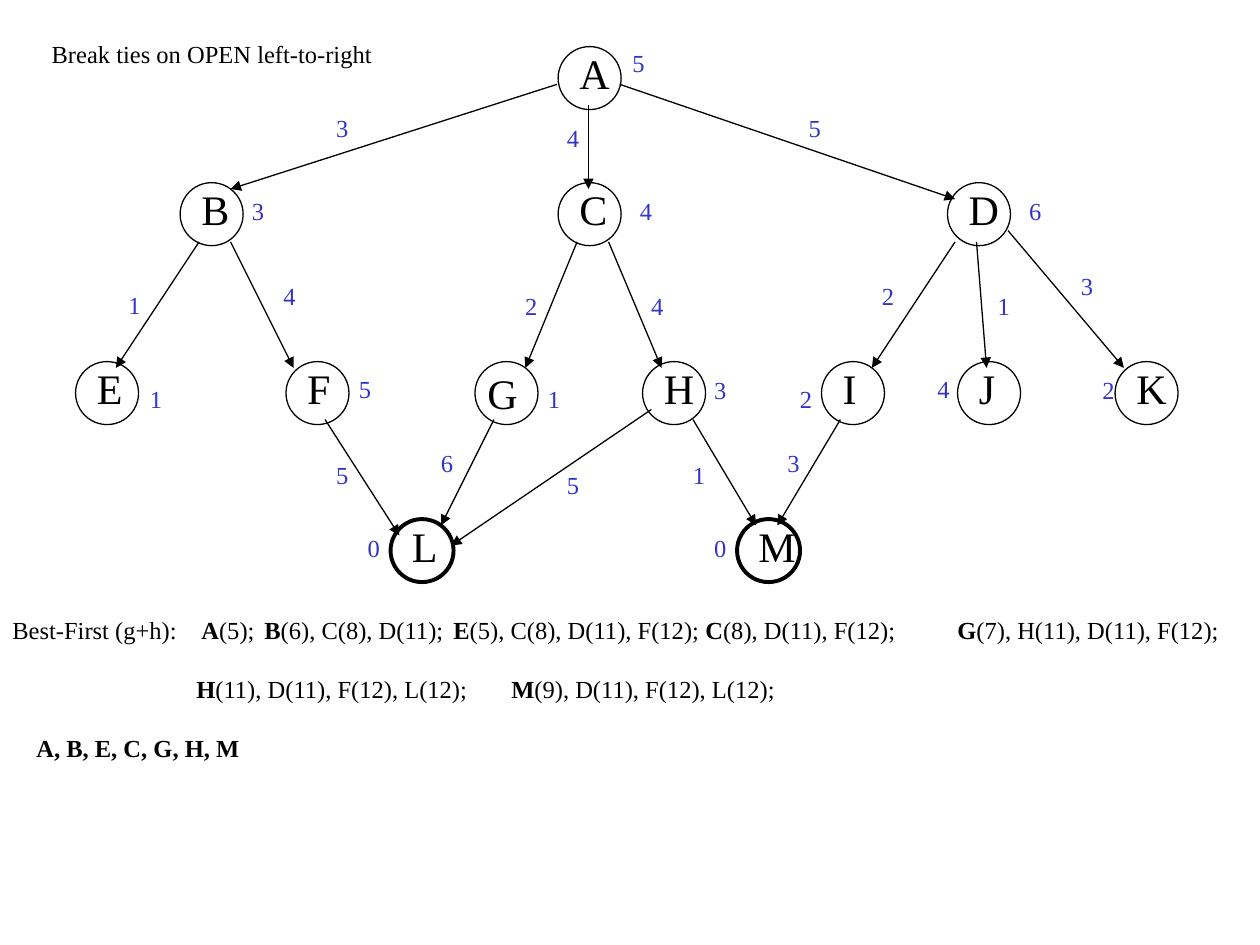
from dataclasses import dataclass

import pptx
import pptx.dml.color
import pptx.enum.shapes
import pptx.enum.text
import pptx.oxml.ns
import pptx.util
from lxml import etree
from pptx.util import Inches

Point = tuple[float, float]


@dataclass(frozen=True)
class Theme:
    font: str = "Times New Roman"
    ink: str = "000000"
    value: str = "3333CC"
    node_size: int = 24
    text_size: int = 14
    line: float = 0.75
    goal_line: float = 2.25
    line_gap: int = 17


@dataclass(frozen=True)
class Node:
    name: str
    at: Point
    h: int
    h_at: Point
    goal: bool = False
    shift: Point = (0.07, -0.04)


@dataclass(frozen=True)
class Edge:
    start: Point
    end: Point
    cost: int
    cost_at: Point


@dataclass(frozen=True)
class TraceLine:
    steps: list[tuple[str, str]]
    lead: str = ""
    indent: float = 0
    tabs: tuple[float, ...] = ()


THEME = Theme()
DIAMETER = 0.5
ROW_1, ROW_2, ROW_3, ROW_4 = 0.37, 1.45, 2.87, 4.12

NODES = [
    Node("A", (4.43, ROW_1), 5, (4.92, 0.33)),
    Node("B", (1.43, ROW_2), 3, (1.9, 1.51)),
    Node("C", (4.43, ROW_2), 4, (4.98, 1.51)),
    Node("D", (7.52, ROW_2), 6, (8.07, 1.51)),
    Node("E", (0.6, ROW_3), 1, (1.09, 3)),
    Node("F", (2.27, ROW_3), 5, (2.75, 2.92)),
    Node("G", (3.77, ROW_3), 1, (4.25, 3), shift=(0, 0)),
    Node("H", (5.1, ROW_3), 3, (5.57, 2.93)),
    Node("I", (6.52, ROW_3), 2, (6.25, 3)),
    Node("J", (7.6, ROW_3), 4, (7.34, 2.92)),
    Node("K", (8.85, ROW_3), 2, (8.65, 2.93)),
    Node("L", (3.1, ROW_4), 0, (2.82, 4.18), goal=True),
    Node("M", (5.85, ROW_4), 0, (5.57, 4.18), goal=True),
]

EDGES = [
    Edge((4.42, 0.67), (1.83, 1.5), 3, (2.57, 0.85)),
    Edge((4.67, 0.83), (4.67, 1.5), 4, (4.4, 0.93)),
    Edge((4.92, 0.67), (7.58, 1.58), 5, (6.32, 0.85)),
    Edge((1.58, 1.92), (0.92, 2.92), 1, (0.92, 2.25)),
    Edge((1.83, 1.92), (2.33, 2.92), 4, (2.15, 2.18)),
    Edge((4.58, 1.92), (4.17, 2.92), 2, (4.07, 2.26)),
    Edge((4.83, 1.92), (5.25, 2.92), 4, (5.07, 2.26)),
    Edge((7.58, 1.92), (6.92, 2.92), 2, (6.9, 2.18)),
    Edge((7.75, 1.92), (7.83, 2.92), 1, (7.82, 2.26)),
    Edge((8, 1.83), (8.92, 2.92), 3, (8.48, 2.1)),
    Edge((2.58, 3.33), (3.17, 4.25), 5, (2.57, 3.6)),
    Edge((3.92, 3.33), (3.5, 4.17), 6, (3.4, 3.51)),
    Edge((5.5, 3.33), (6, 4.17), 1, (5.4, 3.6)),
    Edge((6.67, 3.33), (6.17, 4.17), 3, (6.15, 3.51)),
    Edge((5.17, 3.25), (3.58, 4.33), 5, (4.4, 3.68)),
]

TRACE = [
    TraceLine(
        [
            ("A", "(5);"),
            ("B", "(6), C(8), D(11);"),
            ("E", "(5), C(8), D(11), F(12);"),
            ("C", "(8), D(11), F(12);"),
            ("G", "(7), H(11), D(11), F(12);"),
        ],
        lead="Best-First (g+h):\t",
        tabs=(1.46, 2.02, 3.59, 5.69, 7.34),
    ),
    TraceLine(
        [("H", "(11), D(11), F(12), L(12);"), ("M", "(9), D(11), F(12), L(12);")],
        indent=1.46,
        tabs=(3.81,),
    ),
    TraceLine([("A, B, E, C, G, H, M", "")], indent=0.19),
]


def rgb(value: str) -> pptx.dml.color.RGBColor:
    return pptx.dml.color.RGBColor.from_string(value)


def add_run(p, text: str, *, size: float = THEME.text_size,
            color: str = THEME.ink, bold: bool = False) -> None:
    r = p.add_run()
    r.text = text
    r.font.name = THEME.font
    r.font.size = pptx.util.Pt(size)
    r.font.bold = bold
    r.font.color.rgb = rgb(color)


def add_box(s, at: Point, width: float, height: float):
    tf = s.shapes.add_textbox(*map(Inches, (*at, width, height))).text_frame
    tf.word_wrap = True
    return tf


def draw_circle(s, node: Node) -> None:
    sp = s.shapes.add_shape(
        pptx.enum.shapes.MSO_SHAPE.OVAL,
        *map(Inches, (*node.at, DIAMETER, DIAMETER)),
    )
    sp.shadow.inherit = False
    sp.fill.background()
    sp.line.color.rgb = rgb(THEME.ink)
    sp.line.width = pptx.util.Pt(THEME.goal_line if node.goal else THEME.line)


def draw_name(s, node: Node) -> None:
    at = (node.at[0] + node.shift[0], node.at[1] + node.shift[1])
    tf = add_box(s, at, 0.5, 0.5)
    add_run(tf.paragraphs[0], node.name, size=THEME.node_size)


def draw_value(s, value: int, at: Point) -> None:
    tf = add_box(s, at, 0.32, 0.34)
    add_run(tf.paragraphs[0], str(value), color=THEME.value)


def draw_edge(s, edge: Edge) -> None:
    sp = s.shapes.add_connector(
        pptx.enum.shapes.MSO_CONNECTOR.STRAIGHT,
        *map(Inches, (*edge.start, *edge.end)),
    )
    sp.line.color.rgb = rgb(THEME.ink)
    sp.line.width = pptx.util.Pt(THEME.line)
    qn = pptx.oxml.ns.qn
    etree.SubElement(sp.line._get_or_add_ln(), qn("a:tailEnd"), type="triangle")
    etree.SubElement(sp._element.spPr, qn("a:effectLst"))


def draw_title(s, text: str) -> None:
    sp = s.shapes.title
    sp.left, sp.top, sp.width, sp.height = map(Inches, (0.31, 0.26, 2.9, 0.34))
    tf = sp.text_frame
    tf.auto_size = pptx.enum.text.MSO_AUTO_SIZE.NONE
    tf.vertical_anchor = pptx.enum.text.MSO_ANCHOR.TOP
    p = tf.paragraphs[0]
    p.alignment = pptx.enum.text.PP_ALIGN.LEFT
    add_run(p, text)


def draw_trace(s, lines: list[TraceLine]) -> None:
    tf = add_box(s, (0, 4.83), 9.9, 1.27)
    qn = pptx.oxml.ns.qn
    for i, line in enumerate(lines):
        p = tf.add_paragraph() if i else tf.paragraphs[0]
        if i:
            p.space_before = pptx.util.Pt(THEME.line_gap)
        pPr = p._p.get_or_add_pPr()
        pPr.set("marL", str(Inches(line.indent)))
        pPr.set("indent", "0")
        if line.tabs:
            tabs = etree.SubElement(pPr, qn("a:tabLst"))
            for pos in line.tabs:
                etree.SubElement(tabs, qn("a:tab"), pos=str(Inches(pos)), algn="l")
        if line.lead:
            add_run(p, line.lead)
        for j, (chosen, rest) in enumerate(line.steps):
            add_run(p, chosen, bold=True)
            tail = rest + ("\t" if j < len(line.steps) - 1 else "")
            if tail:
                add_run(p, tail)


def main() -> None:
    prs = pptx.Presentation()
    prs.slide_width, prs.slide_height = Inches(10), Inches(7.5)
    s = prs.slides.add_slide(prs.slide_layouts[5])
    draw_title(s, "Break ties on OPEN left-to-right")
    for node in NODES:
        draw_circle(s, node)
        draw_name(s, node)
        draw_value(s, node.h, node.h_at)
    for edge in EDGES:
        draw_edge(s, edge)
        draw_value(s, edge.cost, edge.cost_at)
    draw_trace(s, TRACE)
    prs.save("out.pptx")


if __name__ == "__main__":
    main()
